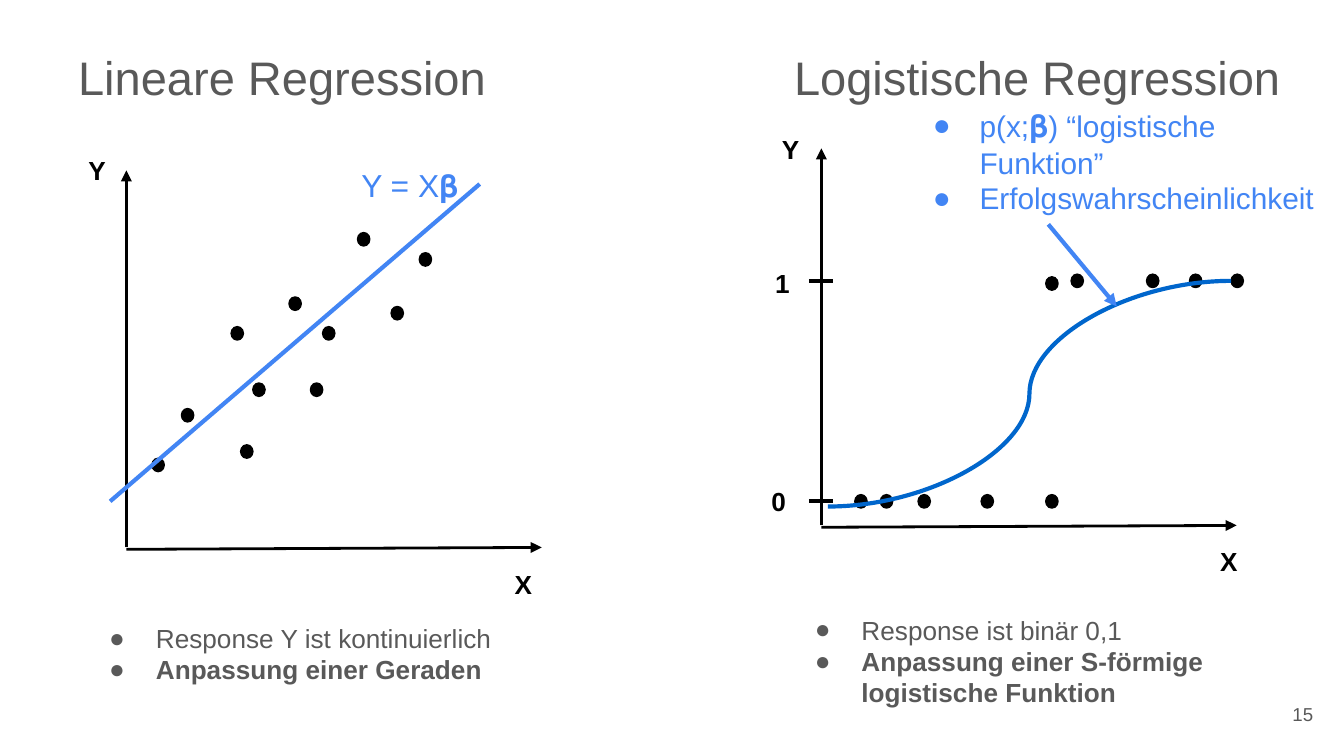
from dataclasses import dataclass

from lxml import etree
from pptx import Presentation
from pptx.dml.color import RGBColor
from pptx.enum import shapes, text
from pptx.oxml import ns
from pptx.util import Pt


@dataclass(frozen=True)
class Theme:
    font: str = "Arial"
    gray: str = "595959"
    black: str = "000000"
    blue: str = "4285F4"
    curve: str = "0066CC"
    title: float = 25.2
    formula: float = 17
    note: float = 16
    body: float = 14
    number: float = 10
    margin: float = 7.2


THEME = Theme()


def add_run(paragraph, content, size=THEME.body, color=THEME.gray, bold=False):
    run = paragraph.add_run()
    run.text = content
    run.font.name = THEME.font
    run.font.size = Pt(size)
    run.font.bold = bold
    run.font.color.rgb = RGBColor.from_string(color)


def sub(parent, tag, **attributes):
    return etree.SubElement(parent, ns.qn(tag), **attributes)


class RegressionSlide:
    def __init__(self, slide, theme):
        self.slide = slide
        self.theme = theme

    def frame(self, holder, box, anchor=text.MSO_ANCHOR.TOP):
        holder.left, holder.top, holder.width, holder.height = map(Pt, box)
        frame = holder.text_frame
        frame.word_wrap = True
        frame.auto_size = text.MSO_AUTO_SIZE.NONE
        frame.vertical_anchor = anchor
        margin = Pt(self.theme.margin)
        frame.margin_left = frame.margin_right = margin
        frame.margin_top = frame.margin_bottom = margin
        return frame

    def box(self):
        return self.slide.shapes.add_textbox(0, 0, 0, 0)

    def line_of_text(self, content, box, holder=None, align=text.PP_ALIGN.LEFT,
                     anchor=text.MSO_ANCHOR.TOP, **style):
        paragraph = self.frame(holder or self.box(), box, anchor).paragraphs[0]
        paragraph.alignment = align
        add_run(paragraph, content, **style)

    def heading(self, content, left, holder=None):
        self.line_of_text(content, (left, 18.7, 283, 45.4), holder, size=self.theme.title)

    def axis_label(self, content, left, top):
        self.line_of_text(content, (left, top, 25.2, 31.7), color=self.theme.black, bold=True)

    def bullets(self, items, box, color, holder=None):
        frame = self.frame(holder or self.box(), box)
        for index, runs in enumerate(items):
            paragraph = frame.add_paragraph() if index else frame.paragraphs[0]
            properties = paragraph._p.get_or_add_pPr()
            properties.set("marL", str(Pt(36)))
            properties.set("indent", str(Pt(-25)))
            sub(sub(properties, "a:buClr"), "a:srgbClr", val=color)
            sub(properties, "a:buFont", typeface=self.theme.font)
            sub(properties, "a:buChar", char="●")
            paragraph.space_before = Pt(0)
            for content, style in runs:
                add_run(paragraph, content, color=color, **style)

    def line(self, start, end, color, width, arrow=False,
             kind=shapes.MSO_CONNECTOR.STRAIGHT):
        connector = self.slide.shapes.add_connector(kind, *map(Pt, (*start, *end)))
        connector.line.color.rgb = RGBColor.from_string(color)
        connector.line.width = Pt(width)
        if arrow:
            sub(connector.line._get_or_add_ln(), "a:tailEnd", type="triangle")
        sub(connector._element.spPr, "a:effectLst")

    def axes(self, x, y):
        self.line((x, y), (x, y - 202), self.theme.black, 1.5, arrow=True)
        self.line((x, y + 1), (x + 222.5, y), self.theme.black, 1.5, arrow=True)

    def dots(self, points):
        black = RGBColor.from_string(self.theme.black)
        for left, top in points:
            dot = self.slide.shapes.add_shape(
                shapes.MSO_SHAPE.FLOWCHART_CONNECTOR, *map(Pt, (left, top, 6.6, 7.2)))
            dot.shadow.inherit = False
            dot.fill.solid()
            dot.fill.fore_color.rgb = black
            dot.line.color.rgb = black
            dot.line.width = Pt(0.75)


def linear_plot(page):
    page.axes(67.7, 293.3)
    page.dots([(81.4, 245.5), (97.2, 218.9), (166.3, 205.2), (123.8, 175),
               (135.4, 205.2), (209.5, 164.2), (172.8, 175), (154.8, 159.1),
               (128.9, 238.3), (191.5, 124.6), (224.6, 135.4)])
    page.line((257, 98.6), (59, 268.6), THEME.blue, 2.25)
    page.axis_label("X", 268.6, 297.4)
    page.axis_label("Y", 40.3, 75.6)
    page.line_of_text("Y = X𝛃", (186.5, 81.4, 67, 35.3),
                      size=THEME.formula, color=THEME.blue)


def logistic_plot(page):
    successes = [573.8, 614.2, 637.2, 659.5]
    failures = [457.9, 471.6, 491.8, 525.6, 560.2]
    page.dots([(560.2, 148.3)] + [(x, 146.9) for x in successes]
              + [(x, 265) for x in failures])
    page.axes(440, 281.5)
    page.axis_label("X", 646.6, 285.1)
    page.axis_label("Y", 411.8, 64.1)
    for level, left, top, tick in (("0", 406.1, 252.7, 268.6), ("1", 408.2, 136.1, 150.5)):
        page.line((433.4, tick), (446.4, tick), THEME.black, 2.25)
        page.axis_label(level, left, top)
    page.line((443.5, 271.4), (659.5, 150.5), THEME.curve, 2.25,
              kind=shapes.MSO_CONNECTOR.CURVE)
    note = {"size": THEME.note}
    page.bullets([[("p(x;", note), ("𝛃", {"size": THEME.formula}),
                   (") “logistische Funktion”", note)],
                  [("Erfolgswahrscheinlichkeit", note)]],
                 (481.7, 49.7, 238.3, 74.2), THEME.blue)
    page.line((561.6, 120.2), (598.3, 164.2), THEME.blue, 2.25, arrow=True)


def main():
    deck = Presentation()
    deck.slide_width, deck.slide_height = Pt(720), Pt(405)
    slide = deck.slides.add_slide(deck.slide_layouts[3])
    page = RegressionSlide(slide, THEME)
    title, linear_list, logistic_list = slide.placeholders

    page.heading("Lineare Regression", 34.6, title)
    page.heading("Logistische Regression", 418.3)
    linear_plot(page)
    logistic_plot(page)
    bold = {"bold": True}
    page.bullets([[("Response Y ist kontinuierlich", {})],
                  [("Anpassung einer Geraden", bold)]],
                 (40.3, 326.2, 313.2, 48.2), THEME.gray, linear_list)
    page.bullets([[("Response ist binär 0,1", {})],
                  [("Anpassung einer S-förmige logistische Funktion", bold)]],
                 (418.3, 321.8, 274.3, 65.5), THEME.gray, logistic_list)
    page.line_of_text("15", (667.4, 367.2, 43.2, 31), align=text.PP_ALIGN.RIGHT,
                      anchor=text.MSO_ANCHOR.MIDDLE, size=THEME.number)
    deck.save("out.pptx")


if __name__ == "__main__":
    main()
